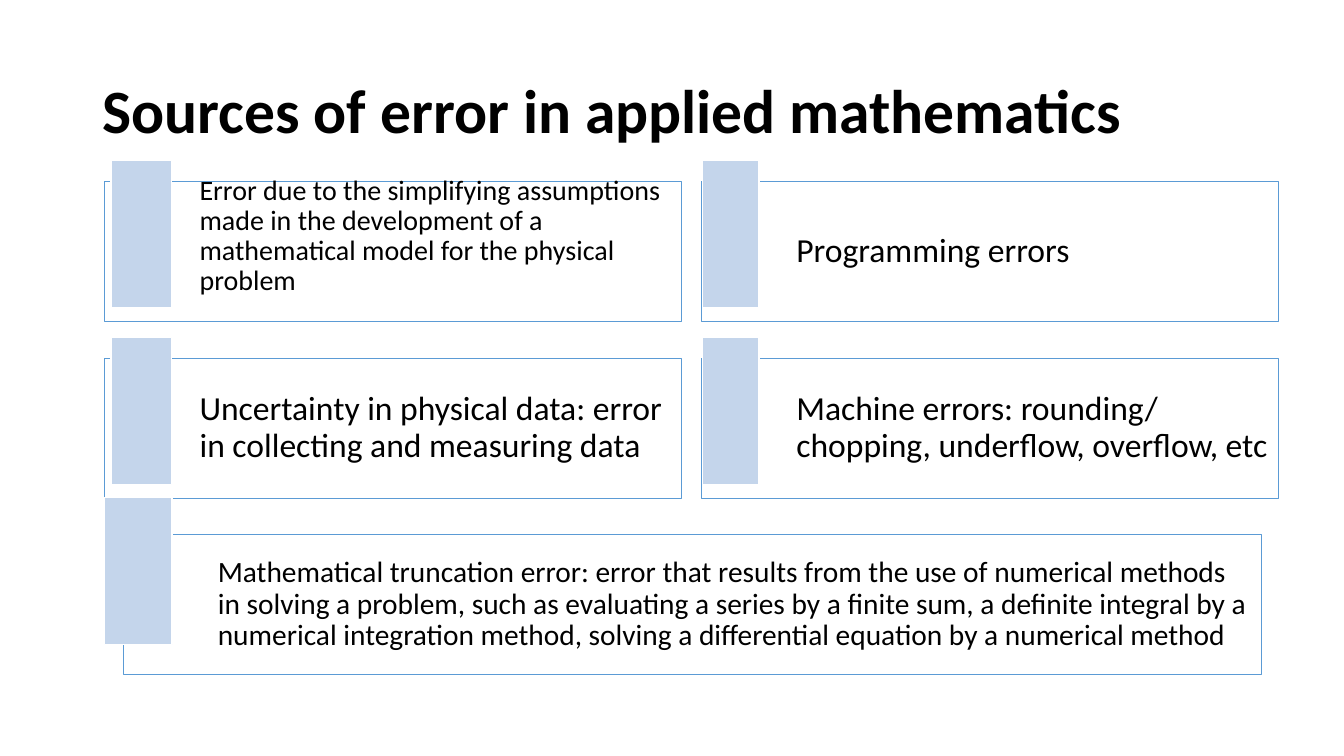
from lxml import etree
from pptx import Presentation
from pptx.dml.color import RGBColor
from pptx.enum.shapes import MSO_SHAPE
from pptx.enum.text import MSO_ANCHOR, MSO_AUTO_SIZE, PP_ALIGN
from pptx.oxml.ns import qn
from pptx.util import Cm, Pt

RECT = MSO_SHAPE.RECTANGLE
MIDDLE = MSO_ANCHOR.MIDDLE
LEFT = PP_ALIGN.LEFT
NO_FIT = MSO_AUTO_SIZE.NONE

TITLE = "Sources of error in applied mathematics"

# text, row, column style, size, top inset, other insets, bottom inset
ERRORS = [
    ("Error due to the simplifying assumptions made in the development of a "
     "mathematical model for the physical problem", 0, "left", "small", 0, 0.2, 0.76),
    ("Programming errors", 0, "right", "large", 0.25, 0.25, 0.25),
    ("Uncertainty in physical data: error in collecting and measuring data",
     1, "left", "large", 0.25, 0.25, 0.25),
    ("Machine errors: rounding/ chopping, underflow, overflow, etc",
     1, "right", "large", 0.25, 0.25, 0.25),
    ("Mathematical truncation error: error that results from the use of "
     "numerical methods in solving a problem, such as evaluating a series by a "
     "finite sum, a definite integral by a numerical integration method, "
     "solving a differential equation by a numerical method",
     2, "wide", "medium", 0.23, 0.23, 0.23),
]

# box left, box width, tab offset x, tab offset y, tab width
COLUMNS = {
    "left": (2.64, 14.53, 0.16, -0.52, 1.52),
    "right": (17.68, 14.53, 0.03, -0.52, 1.42),
    "wide": (3.1, 28.68, -0.46, -0.93, 1.7),
}
FIRST_TOP, ROW_PITCH = 4.57, 4.45
BOX_HEIGHT, TAB_HEIGHT = 3.53, 3.71
TEXT_INDENT = 2.39

THEME = {
    "font": "Calibri",
    "text": RGBColor(0x00, 0x00, 0x00),
    "white": RGBColor(0xFF, 0xFF, 0xFF),
    "border": RGBColor(0x5B, 0x9B, 0xD5),
    "tab": RGBColor(0xC4, 0xD5, 0xEB),
    "title": Pt(44),
    "large": Pt(24),
    "medium": Pt(21),
    "small": Pt(20),
}


def write(tf, text, size, bold=False):
    tf.text = text
    tf.word_wrap = True
    tf.auto_size = NO_FIT
    tf.vertical_anchor = MIDDLE
    p = tf.paragraphs[0]
    p.alignment = LEFT
    p.line_spacing = 0.9
    font = p.runs[0].font
    font.name = THEME["font"]
    font.size = THEME[size]
    font.bold = bold
    font.color.rgb = THEME["text"]


def add_rect(s, left, top, width, height, fill, line, line_width):
    sp = s.shapes.add_shape(RECT, Cm(left), Cm(top), Cm(width), Cm(height))
    sp.shadow.inherit = False
    sp.fill.solid()
    sp.fill.fore_color.rgb = THEME[fill]
    sp.line.color.rgb = THEME[line]
    sp.line.width = Pt(line_width)
    return sp


def set_opacity(sp, percent):
    color = sp.fill._xPr.find(qn("a:solidFill"))[0]
    etree.SubElement(color, qn("a:alpha")).set("val", str(percent * 1000))


def add_error(s, text, row, column, size, inset_top, inset, inset_bottom):
    """Draw one bordered text box with its coloured tab."""
    left, width, tab_dx, tab_dy, tab_width = COLUMNS[column]
    top = FIRST_TOP + row * ROW_PITCH
    box = add_rect(s, left, top, width, BOX_HEIGHT, "white", "border", 0.5)
    set_opacity(box, 40)
    tf = box.text_frame
    tf.margin_left, tf.margin_right = Cm(TEXT_INDENT), Cm(inset)
    tf.margin_top, tf.margin_bottom = Cm(inset_top), Cm(inset_bottom)
    write(tf, text, size)
    add_rect(s, left + tab_dx, top + tab_dy, tab_width, TAB_HEIGHT,
             "tab", "white", 1)


def main():
    prs = Presentation()
    prs.slide_width, prs.slide_height = Cm(33.87), Cm(19.05)
    s = prs.slides.add_slide(prs.slide_layouts.get_by_name("Title Only"))
    title = s.shapes.title
    title.left, title.top = Cm(2.33), Cm(1.01)
    title.width, title.height = Cm(29.21), Cm(3.68)
    write(title.text_frame, TITLE, "title", bold=True)
    for error in ERRORS:
        add_error(s, *error)
    prs.save("out.pptx")


if __name__ == "__main__":
    main()
